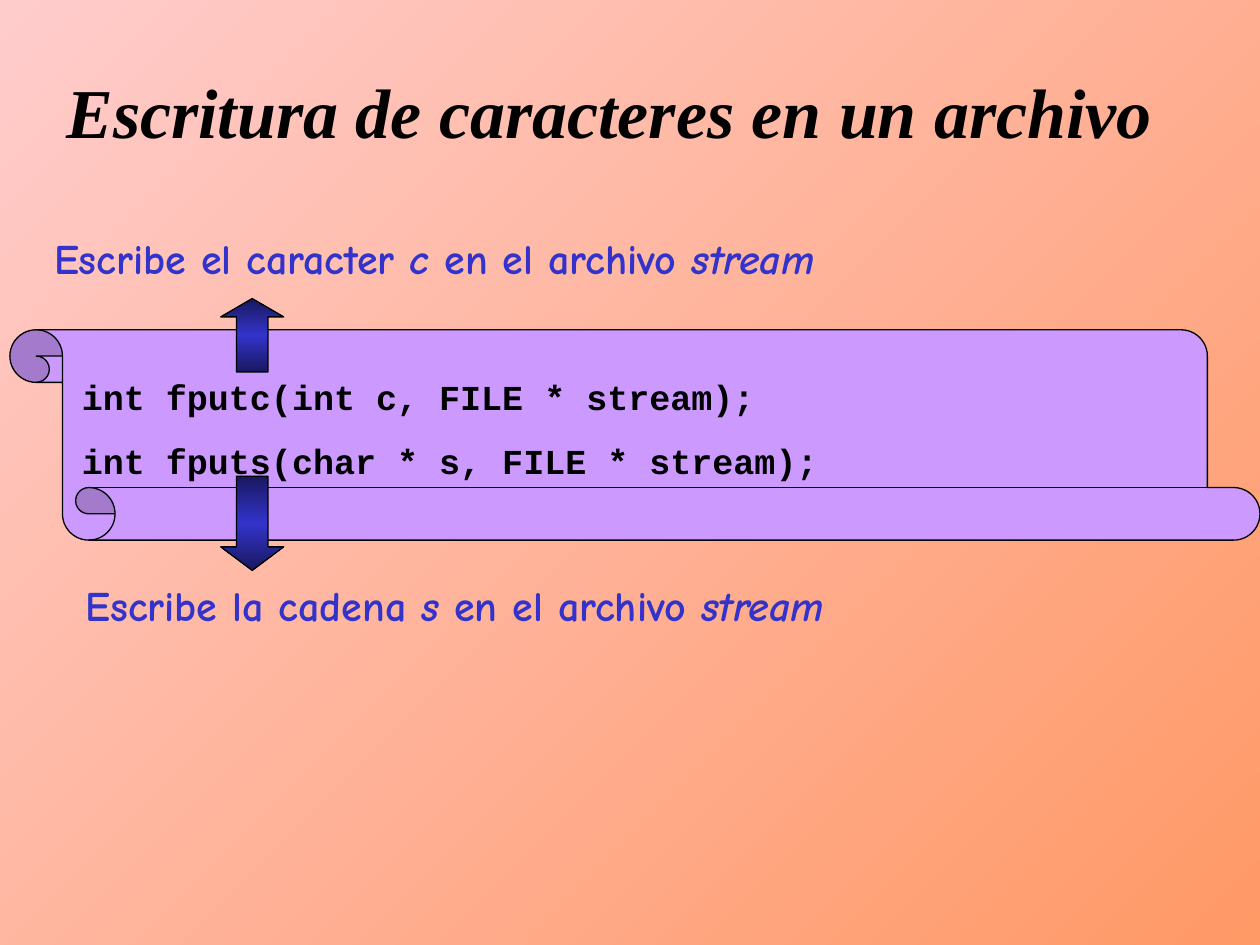
from copy import deepcopy

from pptx import Presentation
from pptx.dml.color import RGBColor
from pptx.enum.shapes import MSO_SHAPE as Preset
from pptx.enum.text import MSO_ANCHOR as Anchor, PP_ALIGN as Align
from pptx.oxml.ns import qn
from pptx.util import Cm, Pt

# Content
TITLE = "Escritura de caracteres en un archivo"
PROTOTYPES = [
    "int fputc(int c, FILE * stream);",
    "int fputs(char * s, FILE * stream);",
]
# Each note: (text, italic) runs, text box in cm, arrow top and height in cm, points up
NOTES = [
    ([("Escribe el caracter ", False), ("c", True),
      (" en el archivo ", False), ("stream", True)],
     (0.84, 4.57, 21.8, 1.27), (6.02, 1.48), True),
    ([("Escribe la cadena ", False), ("s", True),
      (" en el archivo ", False), ("stream", True)],
     (1.47, 11.56, 23.06, 1.27), (9.6, 1.9), False),
]

# Style
BLACK, BLUE, NAVY, LILAC = "000000", "3333CC", "18185E", "CC99FF"
BACKGROUND = ["FFCCCC", "FF9966"]
ARROW_LEFT, ARROW_WIDTH, ARROW_HEAD = 4.45, 1.27, 0.37
LINE_HEIGHT = 1.2


def rgb(value):
    return RGBColor.from_string(value)


def set_font(paragraph, name, size, color):
    font = paragraph.font
    font.name, font.size, font.bold = name, Pt(size), True
    font.color.rgb = rgb(color)


def set_gradient(fill, element, colors, angle):
    """Spread the colors evenly along a linear gradient."""
    fill.gradient()
    stop_list = next(element.iter(qn("a:gsLst")))
    while len(stop_list) < len(colors):
        stop_list.append(deepcopy(stop_list[0]))
    for index, (stop, color) in enumerate(zip(fill.gradient_stops, colors)):
        stop.position = index / (len(colors) - 1)
        stop.color.rgb = rgb(color)
    fill.gradient_angle = angle


def add_preset(shapes, preset, box, adjustments, flipped):
    shape = shapes.add_shape(preset, *map(Cm, box))
    shape.shadow.inherit = False
    shape.line.color.rgb = rgb(BLACK)
    shape.line.width = Pt(0.75)
    for index, value in enumerate(adjustments):
        shape.adjustments[index] = value
    if flipped:
        shape.element.spPr.find(qn("a:xfrm")).set("flipV", "1")
    return shape


def add_text(shapes, box):
    frame = shapes.add_textbox(*map(Cm, box)).text_frame
    frame.word_wrap = True
    return frame


presentation = Presentation()
presentation.slide_width, presentation.slide_height = Cm(25.4), Cm(19.05)
slide = presentation.slides.add_slide(presentation.slide_layouts[5])
set_gradient(slide.background.fill, slide.element, BACKGROUND, 315)

# Title
title = slide.shapes.title
title.left, title.top, title.width, title.height = map(Cm, (1.07, 1.7, 22.43, 1.07))
heading = title.text_frame
heading.margin_left = heading.margin_right = 0
heading.margin_top = heading.margin_bottom = 0
heading.vertical_anchor = Anchor.MIDDLE
heading.word_wrap = True
heading.text = TITLE
heading.paragraphs[0].alignment = Align.CENTER
set_font(heading.paragraphs[0], "Times New Roman", 40, BLACK)
heading.paragraphs[0].font.italic = True

# Scroll with the function prototypes
scroll = add_preset(slide.shapes, Preset.VERTICAL_SCROLL, (0.2, 6.65, 25.2, 4.24), [0.25], True)
scroll.fill.solid()
scroll.fill.fore_color.rgb = rgb(LILAC)

code = add_text(slide.shapes, (1.4, 7.44, 23.5, 2.39))
for index, prototype in enumerate(PROTOTYPES):
    line = code.add_paragraph() if index else code.paragraphs[0]
    line.text = prototype
    line.line_spacing = Pt(20 * LINE_HEIGHT)
    if index:
        line.space_before = Pt(12.5)
    set_font(line, "Courier New", 20, BLACK)

# Notes, each grouped with its arrow
for runs, box, (arrow_top, arrow_height), points_up in NOTES:
    group = slide.shapes.add_group_shape()
    note = add_text(group.shapes, box).paragraphs[0]
    note.line_spacing = Pt(24 * LINE_HEIGHT)
    set_font(note, "Comic Neue", 24, BLUE)
    for text, italic in runs:
        run = note.add_run()
        run.text = text
        run.font.italic = italic
    arrow = add_preset(
        group.shapes, Preset.DOWN_ARROW,
        (ARROW_LEFT, arrow_top, ARROW_WIDTH, arrow_height),
        [0.5, 0.25 * arrow_height / ARROW_WIDTH], points_up)
    set_gradient(arrow.fill, arrow.element, [NAVY, BLUE, NAVY], 270)

presentation.save("out.pptx")
